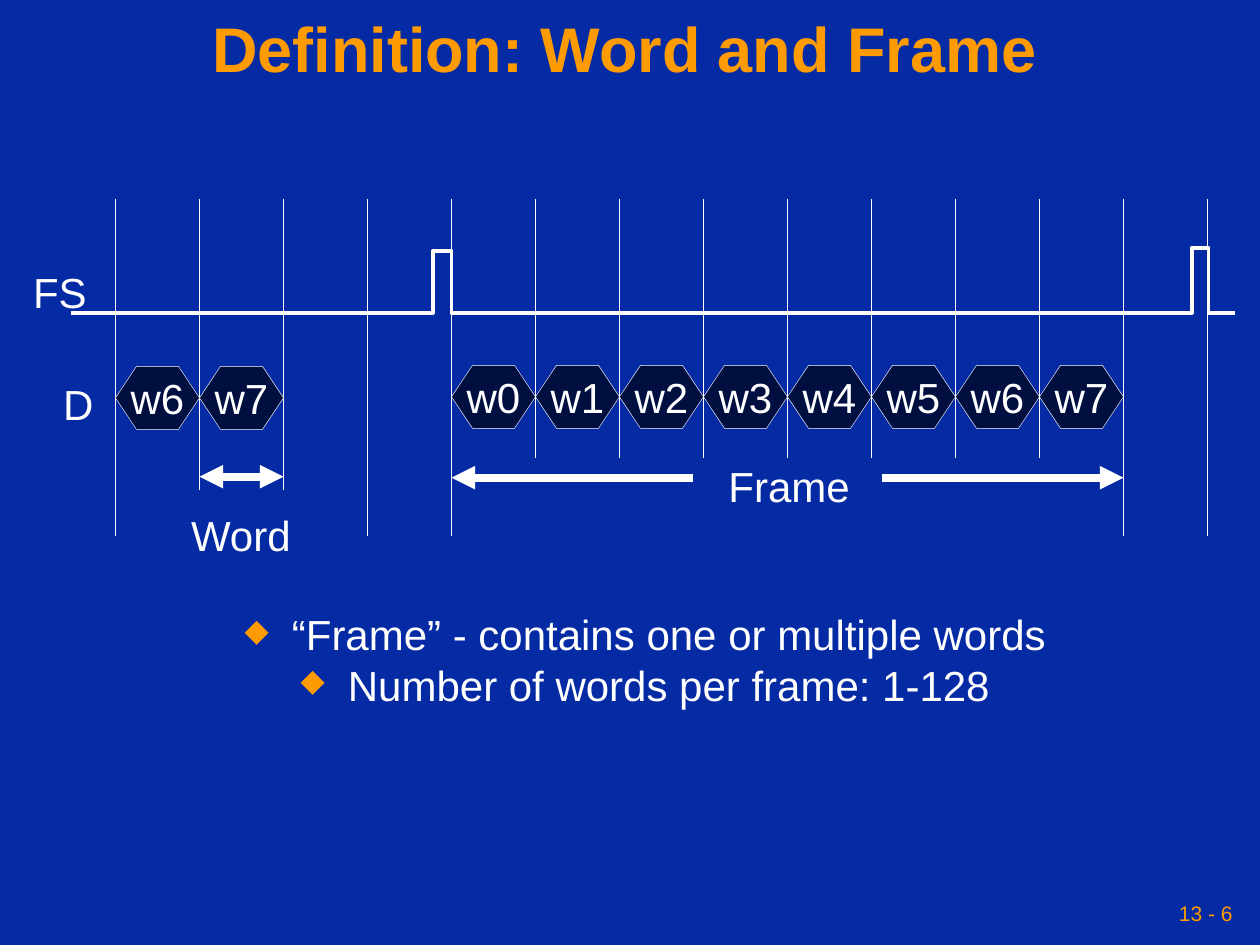
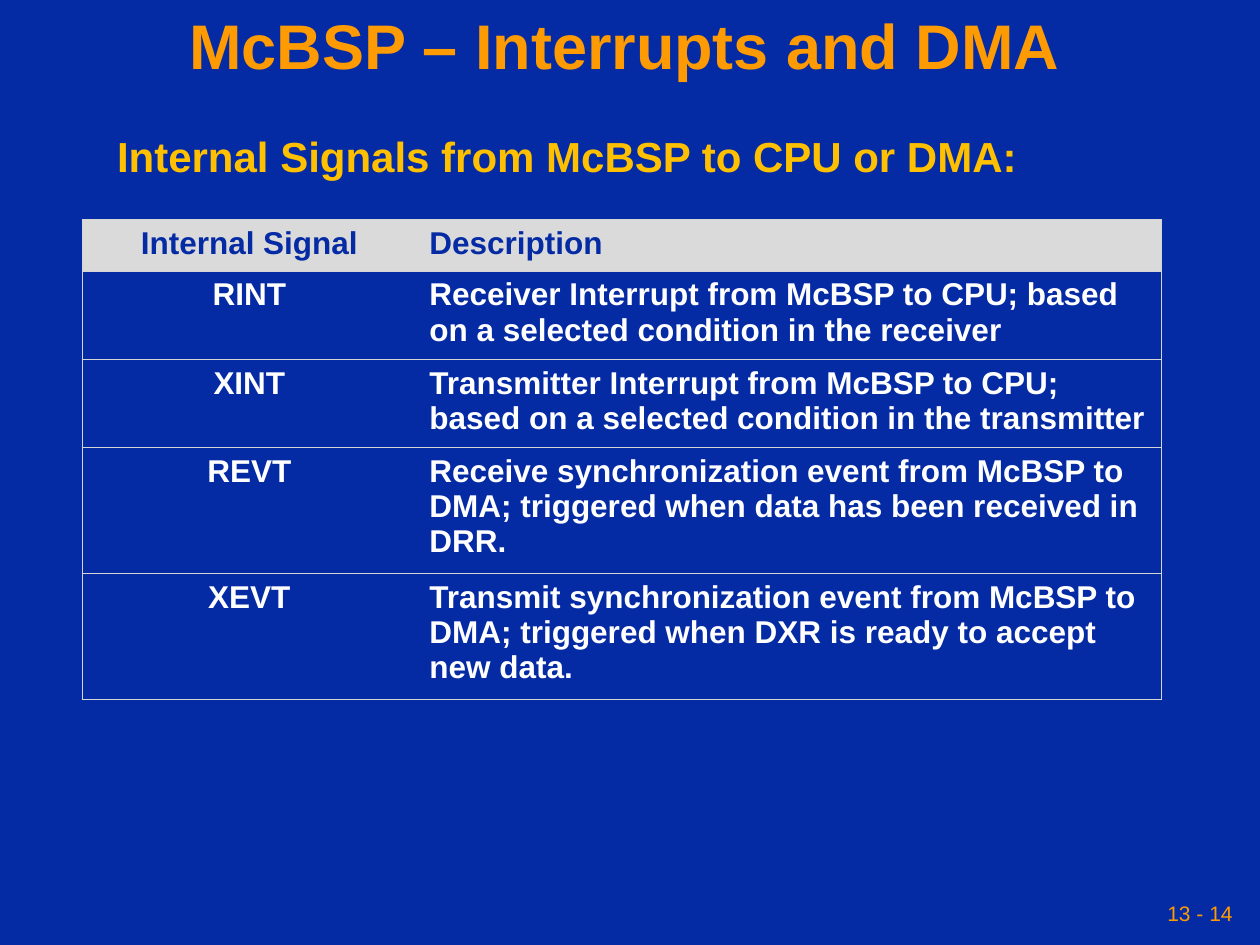
from lxml.etree import SubElement
from pptx import Presentation
from pptx.dml.color import RGBColor
from pptx.enum.shapes import MSO_CONNECTOR as Connector, MSO_SHAPE as Preset
from pptx.enum.text import MSO_ANCHOR as Anchor, MSO_AUTO_SIZE as AutoSize, PP_ALIGN as Align
from pptx.oxml import parse_xml
from pptx.oxml.ns import nsdecls, qn
from pptx.util import Pt

PX = 7620  # EMU in one px, 120 px to the inch
NAVY, INK, WHITE = "042AA4", "000F40", "FFFFFF"
ORANGE, GOLD = "FE9B03", "FFC000"
HEADER_GREY, BORDER_GREY = "DADADA", "D5D5D5"


def color(value):
    return RGBColor.from_string(value)


def px(*lengths):
    return [length * PX for length in lengths]


class Deck:
    """Shared style, and one method for each kind of element."""
    font = "Arial"

    def __init__(self, width, height):
        self.presentation = Presentation()
        self.presentation.slide_width, self.presentation.slide_height = px(width, height)
        self.slide = None

    def new_slide(self, title, number, title_spacing):
        layout = self.presentation.slide_layouts[6]
        self.slide = self.presentation.slides.add_slide(layout)
        fill = self.slide.background.fill
        fill.solid()
        fill.fore_color.rgb = color(NAVY)
        footer = self.text((820, 850, 360, 40), number, 12, ORANGE,
                           align=Align.RIGHT, wrap=True)
        heading = self.text((0, 0, 1190, 100), title, 36, ORANGE, bold=True, wrap=True)
        heading.paragraphs[0].line_spacing = title_spacing
        for frame in (footer, heading):
            frame.vertical_anchor = Anchor.MIDDLE
            frame.margin_left = frame.margin_right = 6 * PX

    def style(self, paragraph, size, ink, bold=False, align=Align.CENTER):
        paragraph.alignment = align
        paragraph.font.name = self.font
        paragraph.font.size = Pt(size)
        paragraph.font.bold = bold
        paragraph.font.color.rgb = color(ink)

    def text(self, box, words, size=24, ink=WHITE, bold=False,
             align=Align.CENTER, wrap=False):
        frame = self.slide.shapes.add_textbox(*px(*box)).text_frame
        frame.word_wrap = wrap
        if not wrap:
            frame.auto_size = AutoSize.SHAPE_TO_FIT_TEXT
        frame.text = words
        for paragraph in frame.paragraphs:
            self.style(paragraph, size, ink, bold, align)
        return frame

    def bullets(self, box, lines):
        for paragraph in self.text(box, "\n".join(lines)).paragraphs:
            properties = paragraph._p.get_or_add_pPr()
            properties.set("marL", str(45 * PX))
            properties.set("indent", str(-45 * PX))
            marks = (f'<a:buClr {nsdecls("a")}><a:srgbClr val="{ORANGE}"/></a:buClr>',
                     f'<a:buSzPct {nsdecls("a")} val="75000"/>',
                     f'<a:buChar {nsdecls("a")} char="◆"/>')
            for position, mark in enumerate(marks):
                properties.insert(position, parse_xml(mark))

    def hexagon(self, left, top, width, height, label):
        shape = self.slide.shapes.add_shape(Preset.HEXAGON, *px(left, top, width, height))
        shape.shadow.inherit = False
        shape.adjustments[0] = 0.333
        shape.fill.solid()
        shape.fill.fore_color.rgb = color(INK)
        shape.line.color.rgb = color(WHITE)
        shape.line.width = Pt(0.25)
        frame = shape.text_frame
        frame.word_wrap = False
        frame.vertical_anchor = Anchor.MIDDLE
        frame.text = label
        self.style(frame.paragraphs[0], 24, WHITE)

    def line(self, start, end, width=0.25, arrowheads=()):
        connector = self.slide.shapes.add_connector(Connector.STRAIGHT, *px(*start, *end))
        connector.line.color.rgb = color(WHITE)
        connector.line.width = Pt(width)
        for arrowhead in arrowheads:
            SubElement(connector.line._get_or_add_ln(), qn(f"a:{arrowhead}"), type="triangle")
        SubElement(connector._element.spPr, qn("a:effectLst"))

    def polyline(self, points, width):
        builder = self.slide.shapes.build_freeform(*points[0], scale=PX)
        builder.add_line_segments(points[1:], close=False)
        shape = builder.convert_to_shape()
        shape.shadow.inherit = False
        shape.fill.background()
        shape.line.color.rgb = color(WHITE)
        shape.line.width = Pt(width)

    def borders(self, cell, visible):
        properties = cell._tc.get_or_add_tcPr()
        for side in "LRTB":
            border = SubElement(properties, qn(f"a:ln{side}"), w=str(Pt(0.34)))
            if side in visible:
                fill = SubElement(border, qn("a:solidFill"))
                SubElement(fill, qn("a:srgbClr"), val=BORDER_GREY)
            else:
                SubElement(border, qn("a:noFill"))

    def table(self, left, top, widths, heights, rows):
        box = px(left, top, sum(widths), sum(heights))
        table = self.slide.shapes.add_table(len(rows), len(widths), *box).table
        table.horz_banding = table.first_row = False
        for column, width in zip(table.columns, widths):
            column.width = width * PX
        for row_index, (height, row) in enumerate(zip(heights, rows)):
            table.rows[row_index].height = height * PX
            is_header = row_index == 0
            for column_index, words in enumerate(row):
                cell = table.cell(row_index, column_index)
                cell.text = words
                self.style(cell.text_frame.paragraphs[0], 18,
                           NAVY if is_header else WHITE, bold=True,
                           align=Align.LEFT if column_index else Align.CENTER)
                self.borders(cell, "RTB" if column_index else "LTB")
                if is_header:
                    cell.fill.solid()
                    cell.fill.fore_color.rgb = color(HEADER_GREY)
                else:
                    cell.fill.background()


def word_and_frame(deck):
    deck.new_slide("Definition: Word and Frame", "13 - 6", 0.9)
    deck.bullets((221, 574, 787, 156), ["“Frame” - contains one or multiple words",
                                        "Number of words per frame: 1-128"])
    clock_left, step = 110, 80
    frame_left = clock_left + 4 * step
    frame_right = frame_left + 8 * step

    # Words of the full frame
    for index in range(8):
        deck.hexagon(frame_left + index * step, 348, step, 60, f"w{index}")
    deck.text((679, 433, 145, 60), "Frame")
    deck.line((840, 455), (frame_right, 455), 4.5, ["tailEnd"])
    deck.line((660, 455), (frame_left, 455), 4.5, ["tailEnd"])

    # Clock grid, shortened around the labels
    bottoms = [510, 467, 467, 510, 510] + [436] * 7 + [510, 510]
    for index, bottom in enumerate(bottoms):
        x = clock_left + index * step
        deck.line((x, 190), (x, bottom))

    # End of the previous frame
    word_left = clock_left + step
    deck.line((word_left + step, 454), (word_left, 454), 4.5, ["headEnd", "tailEnd"])
    deck.text((168, 479, 123, 60), "Word")
    for index, label in enumerate(["w6", "w7"]):
        deck.hexagon(clock_left + index * step, 349, step, 60, label)
    deck.text((47, 355, 55, 60), "D")

    # Frame sync signal
    deck.text((17, 248, 80, 60), "FS")
    low = 298
    signal = [(68, low)]
    for rise, fall, high in [(412, 430, 239), (1135, 1151, 236)]:
        signal += [(rise, low), (rise, high), (fall, high), (fall, low)]
    deck.polyline(signal + [(1176, low)], 2.25)


def interrupts_and_dma(deck):
    deck.new_slide("McBSP – Interrupts and DMA", "13 - 14", 0.75)
    deck.text((99, 118, 882, 60), "Internal Signals from McBSP to CPU or DMA:",
              ink=GOLD, bold=True)
    deck.table(78, 209, [319, 709], [49, 84, 84, 120, 120], [
        ("Internal Signal", "Description"),
        ("RINT", "Receiver Interrupt from McBSP to CPU; "
                 "based on a selected condition in the receiver"),
        ("XINT", "Transmitter Interrupt from McBSP to CPU; "
                 "based on a selected condition in the transmitter"),
        ("REVT", "Receive synchronization event from McBSP to DMA; "
                 "triggered when data has been received in DRR."),
        ("XEVT", "Transmit synchronization event from McBSP to DMA; "
                 "triggered when DXR is ready to accept new data."),
    ])


def main():
    deck = Deck(1200, 900)
    word_and_frame(deck)
    interrupts_and_dma(deck)
    deck.presentation.save("out.pptx")


if __name__ == "__main__":
    main()
